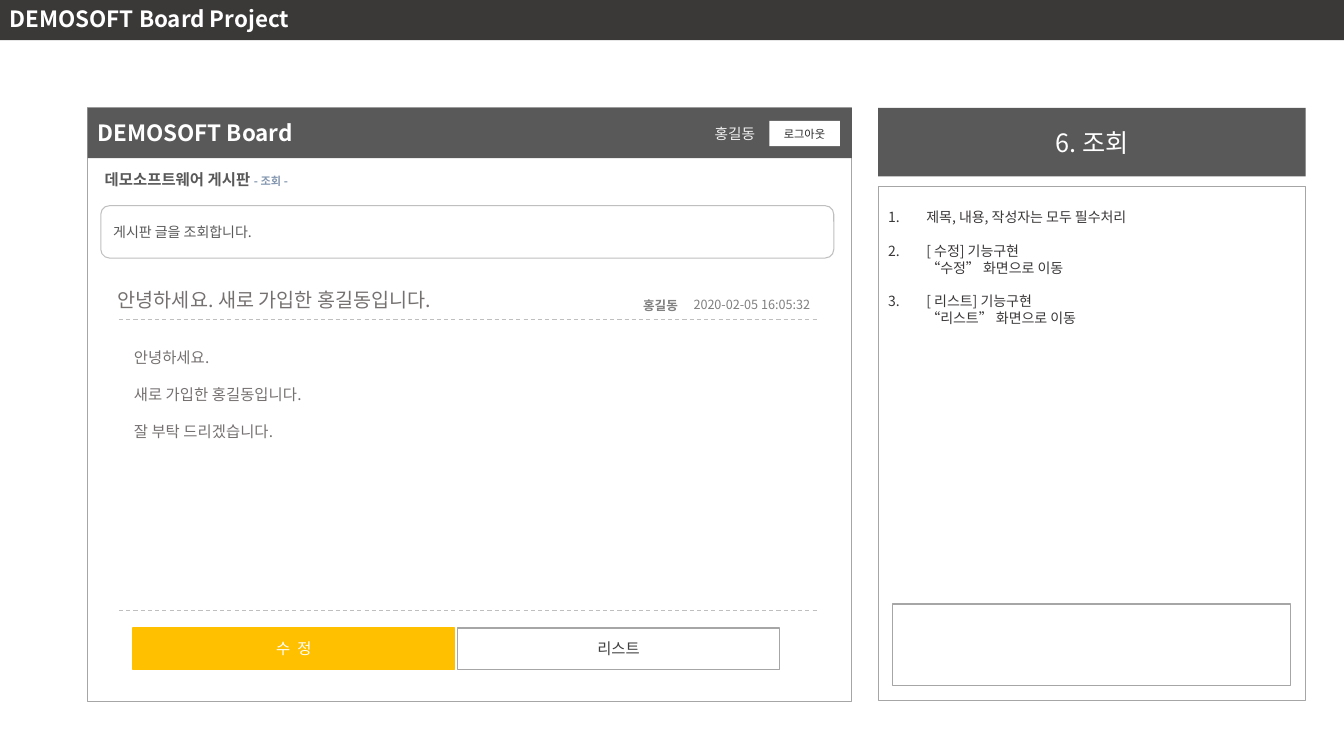
from lxml import etree
from pptx import Presentation
from pptx import util as u
from pptx.dml.color import RGBColor
from pptx.enum import dml, shapes, text
from pptx.oxml.ns import qn

PX = 9144  # 100 px to the inch
FONT = "Noto Sans CJK KR"
COLORS = {name: RGBColor.from_string(value) for name, value in {
    "white": "FFFFFF", "pale": "F2F2F2", "silver": "BFBFBF", "border": "A6A6A6",
    "gray": "808080", "warm": "767171", "header": "595959", "dark": "404040",
    "ink": "262626", "title": "3B3838", "amber": "FFC000", "blue": "8497B0",
}.items()}
CENTER = text.PP_ALIGN.CENTER
LEFT = text.PP_ALIGN.LEFT


def add_box(left, top, width, height, fill=None, line=None, weight=1.0, kind="RECTANGLE"):
    shape = slide.shapes.add_shape(
        shapes.MSO_SHAPE[kind], left * PX, top * PX, width * PX, height * PX)
    shape.shadow.inherit = False
    for fill_format, color in ((shape.fill, fill), (shape.line.fill, line)):
        if color:
            fill_format.solid()
            fill_format.fore_color.rgb = COLORS[color]
        else:
            fill_format.background()
    if line:
        shape.line.width = u.Pt(weight)
    return shape


def write(shape, paragraphs, align=LEFT, anchor="MIDDLE", wrap=True, gap=0):
    """Fill a shape with paragraphs, each a list of (words, size, color, bold) runs."""
    frame = shape.text_frame
    frame.word_wrap = wrap
    frame.vertical_anchor = text.MSO_ANCHOR[anchor]
    for index, runs in enumerate(paragraphs):
        paragraph = frame.add_paragraph() if index else frame.paragraphs[0]
        paragraph.alignment = align
        paragraph.space_before = u.Pt(gap if index else 0)
        for words, size, color, bold in runs:
            for number, line in enumerate(words.split("\n")):
                if number:
                    paragraph.add_line_break()
                run = paragraph.add_run()
                run.text = line
                settings = {"size": u.Pt(size), "bold": bold, "name": FONT}
                for key, value in settings.items():
                    setattr(run.font, key, value)
                run.font.color.rgb = COLORS[color]
                east_asian = etree.SubElement(run.font._element, qn("a:ea"))
                east_asian.set("typeface", FONT)


presentation = Presentation()
presentation.slide_width = 1333 * PX
presentation.slide_height = 750 * PX
slide = presentation.slides.add_slide(presentation.slide_layouts[6])

# Panels and bars that hold at most one line of text
add_box(87, 107, 758, 589, "white", "border", 0.75)
bars = [
    ((87, 107, 758, 50, "header"), ("DEMOSOFT Board", 16, "white", True), LEFT),
    ((763, 120, 70, 25, "white"), ("로그아웃", 8, "ink", False), CENTER),
    ((100, 204, 727, 52, "white", "silver", 0.75, "ROUNDED_RECTANGLE"),
     ("게시판 글을 조회합니다.", 10, "header", False), LEFT),
    ((132, 623, 319, 41, "amber", "amber"), ("수  정", 11, "white", False), CENTER),
    ((454, 623, 319, 41, None, "border"), ("리스트", 11, "dark", False), CENTER),
    ((0, -3, 1333, 43, "title"), ("DEMOSOFT Board Project", 16, "white", True), LEFT),
    ((871, 107, 424, 68, "header"), ("6. 조회", 18, "white", False), CENTER),
]
for box, run, align in bars:
    write(add_box(*box), [[run]], align)

# Numbered requirements
requirements = add_box(871, 185, 424, 510, "white", "border", 0.5)
requirements.text_frame.margin_top = 22 * PX
items = [
    "제목, 내용, 작성자는 모두 필수처리",
    "[ 수정] 기능구현\n“수정” 화면으로 이동",
    "[ 리스트] 기능구현\n“리스트” 화면으로 이동",
]
write(requirements, [[(item, 10, "title", False)] for item in items], anchor="TOP", gap=12)
for paragraph in requirements.text_frame.paragraphs:
    properties = paragraph._p.get_or_add_pPr()
    properties.set("marL", str(38 * PX))
    properties.set("indent", str(-38 * PX))
    etree.SubElement(properties, qn("a:buAutoNum")).set("type", "arabicPeriod")

# Free text: position, wrapping, paragraphs
post_body = ["안녕하세요.", "새로 가입한 홍길동입니다.", "잘 부탁 드리겠습니다."]
labels = [
    ((699, 119, 73, 29), True, [[("홍길동", 10.5, "pale", False)]]),
    ((94, 164, 250, 29), True, [[("데모소프트웨어 게시판 ", 11, "header", True),
                                 ("- 조회 -", 8, "blue", True)]]),
    ((107, 281, 560, 34), True, [[("안녕하세요. 새로 가입한 홍길동입니다.", 14, "warm", False)]]),
    ((123, 340, 594, 121), True, [[(line, 11, "warm", False)] for line in post_body]),
    ((628, 291, 58, 25), False, [[("홍길동", 9, "gray", True)]]),
    ((678, 290, 139, 25), False, [[("2020-02-05 16:05:32", 9, "gray", False)]]),
]
for box, wrap, paragraphs in labels:
    label = slide.shapes.add_textbox(*(length * PX for length in box))
    write(label, paragraphs, anchor="TOP", wrap=wrap, gap=13.2)

# Dashed rules above and below the post
for y in (317, 606):
    rule = slide.shapes.add_connector(
        shapes.MSO_CONNECTOR.STRAIGHT, 118 * PX, y * PX, 810 * PX, y * PX)
    rule.line.color.rgb = COLORS["silver"]
    rule.line.width = u.Pt(0.75)
    rule.line.dash_style = dml.MSO_LINE.DASH
    etree.SubElement(rule._element.spPr, qn("a:effectLst"))

add_box(885, 599, 395, 81, "white", "border")

presentation.save("out.pptx")
